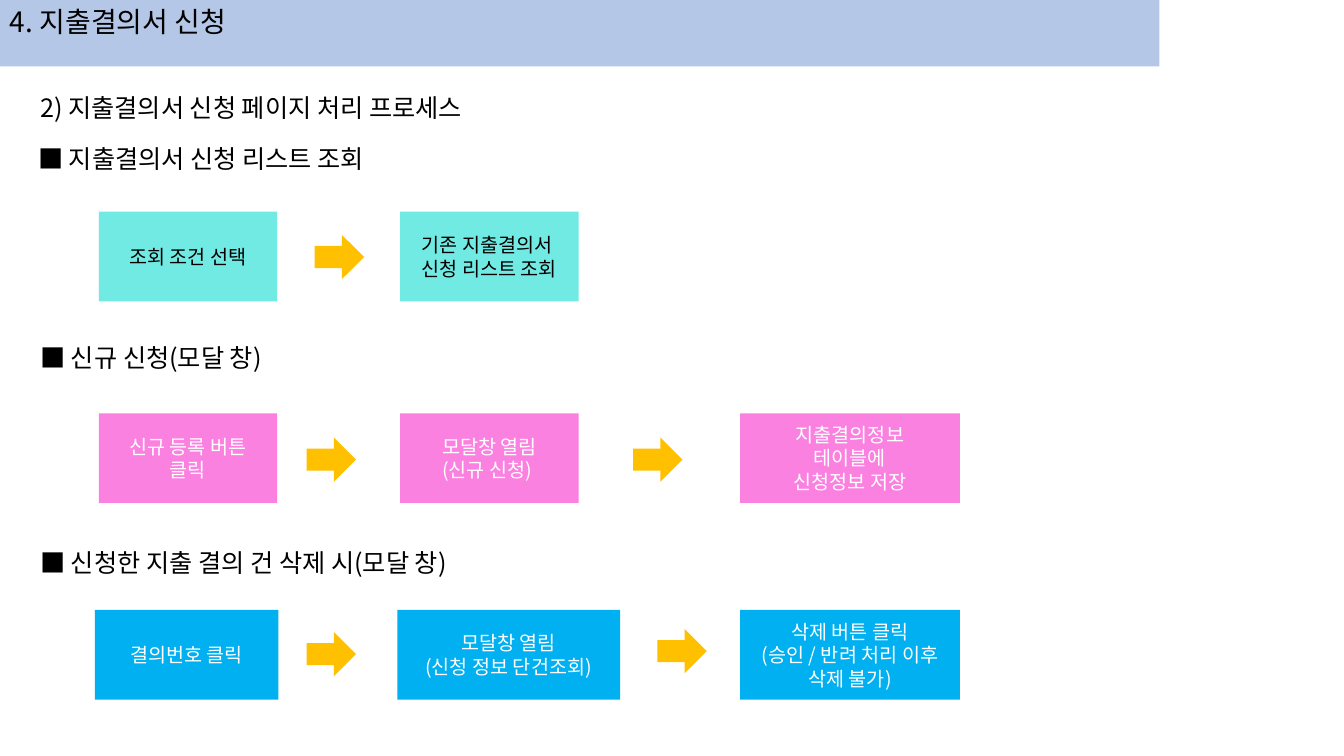
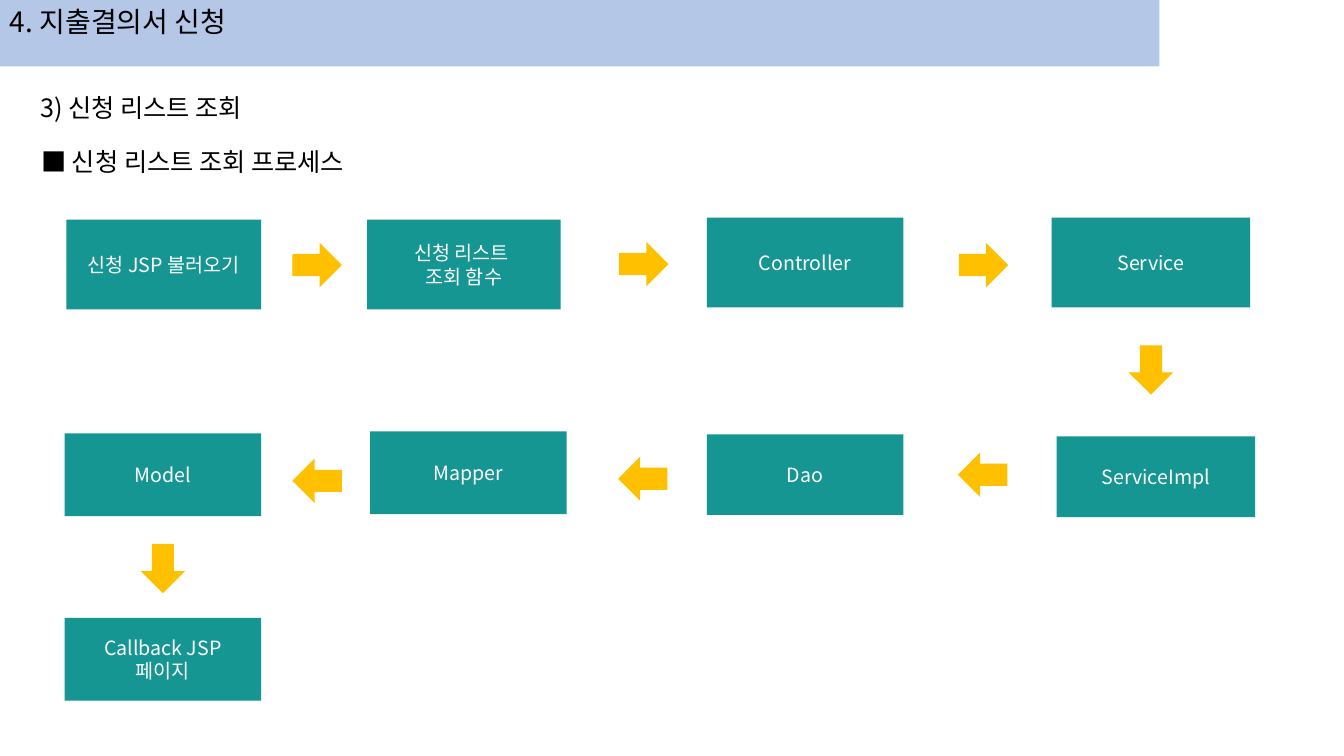
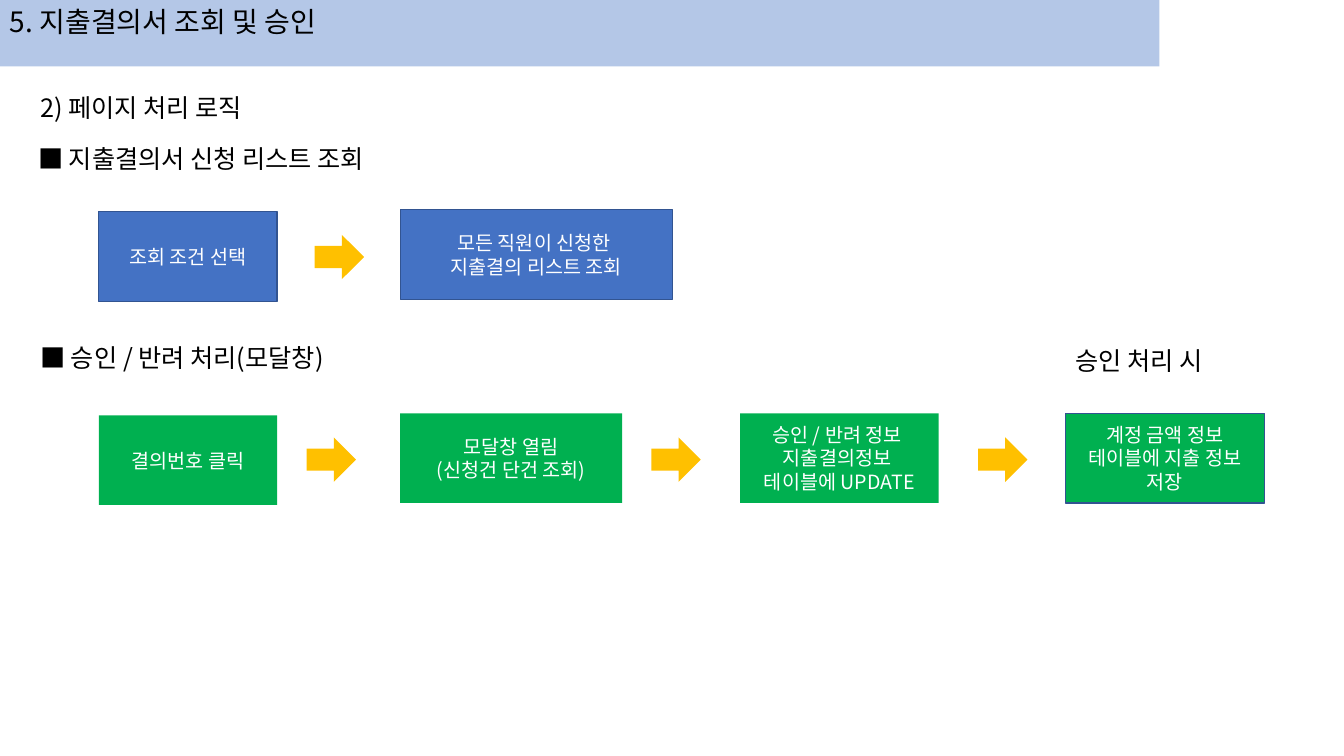
import dataclasses

import pptx
import pptx.dml.color
import pptx.enum.shapes
import pptx.enum.text
import pptx.util

EMU_PER_PX = 9144  # 100 px to the inch
FONT = "Noto Sans CJK KR"
COLORS = {
    "band": "B4C7E7",
    "arrow": "FFC000",
    "black": "000000",
    "white": "FFFFFF",
    "aqua": "72EAE4",
    "pink": "FB81E1",
    "sky": "00B0F0",
    "teal": "169693",
    "blue": "4472C4",
    "green": "00B050",
    "outline": "325491",
}
RECTANGLE = pptx.enum.shapes.MSO_SHAPE.RECTANGLE
RIGHT_ARROW = pptx.enum.shapes.MSO_SHAPE.RIGHT_ARROW
DOWN, BACK = 90, 180


@dataclasses.dataclass(frozen=True)
class Heading:
    left: int
    top: int
    text: str
    width: int = 670


@dataclasses.dataclass(frozen=True)
class Step:
    left: int
    top: int
    width: int
    text: str
    height: int = 89
    outlined: bool = False


@dataclasses.dataclass(frozen=True)
class Arrow:
    left: int
    top: int
    turn: int = 0


@dataclasses.dataclass(frozen=True)
class Flow:
    fill: str
    steps: list[Step]
    arrows: list[Arrow]
    ink: str = "white"


@dataclasses.dataclass(frozen=True)
class Content:
    title: str
    headings: list[Heading]
    flows: list[Flow]


# Slide content
CONTENTS = [
    Content(
        "4. 지출결의서 신청",
        [
            Heading(30, 87, "2) 지출결의서 신청 페이지 처리 프로세스"),
            Heading(28, 137, "■ 지출결의서 신청 리스트 조회"),
            Heading(30, 335, "■ 신규 신청(모달 창)"),
            Heading(30, 538, "■ 신청한 지출 결의 건 삭제 시(모달 창)"),
        ],
        [
            Flow("aqua", [
                Step(98, 210, 177, "조회 조건 선택"),
                Step(397, 210, 177, "기존 지출결의서 \n신청 리스트 조회"),
            ], [Arrow(312, 233)], ink="black"),
            Flow("pink", [
                Step(98, 410, 177, "신규 등록 버튼\n클릭"),
                Step(397, 410, 177, "모달창 열림\n(신규 신청) "),
                Step(734, 410, 218, "지출결의정보\n테이블에\n신청정보 저장"),
            ], [Arrow(304, 434), Arrow(628, 434)]),
            Flow("sky", [
                Step(94, 605, 182, "결의번호 클릭"),
                Step(394, 605, 221, "모달창 열림\n(신청 정보 단건조회)"),
                Step(734, 605, 218, "삭제 버튼 클릭\n(승인 / 반려 처리 이후\n삭제 불가)"),
            ], [Arrow(304, 627), Arrow(652, 624)]),
        ],
    ),
    Content(
        "4. 지출결의서 신청",
        [
            Heading(30, 87, "3) 신청 리스트 조회"),
            Heading(31, 140, "■ 신청 리스트 조회 프로세스"),
        ],
        [
            Flow("teal", [
                Step(66, 218, 193, "신청 JSP 불러오기"),
                Step(364, 218, 192, "신청 리스트 \n조회 함수"),
                Step(701, 216, 195, "Controller"),
                Step(1043, 216, 197, "Service"),
                Step(1048, 433, 197, "ServiceImpl", 80),
                Step(701, 431, 195, "Dao", 80),
                Step(367, 428, 195, "Mapper", 82),
                Step(64, 430, 195, "Model", 82),
                Step(64, 613, 195, "Callback JSP\n페이지", 82),
            ], [
                Arrow(290, 241),
                Arrow(614, 240),
                Arrow(951, 241),
                Arrow(1117, 345, DOWN),
                Arrow(950, 449, BACK),
                Arrow(613, 453, BACK),
                Arrow(290, 455, BACK),
                Arrow(137, 542, DOWN),
            ]),
        ],
    ),
    Content(
        "5. 지출결의서 조회 및 승인",
        [
            Heading(30, 87, "2) 페이지 처리 로직"),
            Heading(28, 137, "■ 지출결의서 신청 리스트 조회"),
            Heading(30, 335, "■ 승인 / 반려 처리(모달창)"),
            Heading(1057, 338, "승인 처리 시", 181),
        ],
        [
            Flow("blue", [
                Step(98, 210, 177, "조회 조건 선택", outlined=True),
                Step(397, 208, 270, "모든 직원이 신청한 \n지출결의 리스트 조회", outlined=True),
            ], [Arrow(312, 233)]),
            Flow("green", [
                Step(98, 412, 177, "결의번호 클릭"),
                Step(397, 410, 220, "모달창 열림\n(신청건 단건 조회)"),
                Step(734, 410, 197, "승인 / 반려 정보 \n지출결의정보 \n테이블에 UPDATE"),
                Step(1057, 410, 197, "계정 금액 정보\n테이블에 지출 정보\n저장", outlined=True),
            ], [Arrow(304, 434), Arrow(646, 434), Arrow(970, 434)]),
        ],
    ),
]


def px(length: int) -> pptx.util.Emu:
    return pptx.util.Emu(length * EMU_PER_PX)


def color(name: str) -> pptx.dml.color.RGBColor:
    return pptx.dml.color.RGBColor.from_string(COLORS[name])


def write(box, text: str, *, size: int, ink: str = "black", centered: bool = False) -> None:
    """Fill a shape with one paragraph, broken at each newline."""
    frame = box.text_frame
    frame.word_wrap = True
    anchors = pptx.enum.text.MSO_ANCHOR
    frame.vertical_anchor = anchors.MIDDLE if centered else anchors.TOP
    para = frame.paragraphs[0]
    aligns = pptx.enum.text.PP_ALIGN
    para.alignment = aligns.CENTER if centered else aligns.LEFT
    para.text = text.replace("\n", "\v")
    for span in para.runs:
        span.font.size = pptx.util.Pt(size)
        span.font.name = FONT
        span.font.color.rgb = color(ink)
        # The East Asian face follows the Latin one
        east_asian = span.font._element.makeelement(
            pptx.oxml.ns.qn("a:ea"), {"typeface": FONT})
        span.font._element.append(east_asian)


def add_shape(page, kind, left: int, top: int, width: int, height: int, fill: str,
              outlined: bool = False):
    box = page.shapes.add_shape(kind, px(left), px(top), px(width), px(height))
    box.shadow.inherit = False
    box.fill.solid()
    box.fill.fore_color.rgb = color(fill)
    if outlined:
        box.line.color.rgb = color("outline")
        box.line.width = pptx.util.Pt(1)
    else:
        box.line.fill.background()
    return box


def add_text(page, left: int, top: int, width: int, height: int, text: str, size: int) -> None:
    box = page.shapes.add_textbox(px(left), px(top), px(width), px(height))
    write(box, text, size=size)


def add_flow(page, flow: Flow) -> None:
    for step in flow.steps:
        box = add_shape(page, RECTANGLE, step.left, step.top, step.width, step.height,
                        flow.fill, step.outlined)
        write(box, step.text, size=14, ink=flow.ink, centered=True)
    for arrow in flow.arrows:
        box = add_shape(page, RIGHT_ARROW, arrow.left, arrow.top, 49, 44, "arrow")
        box.rotation = arrow.turn


def add_page(deck, content: Content) -> None:
    page = deck.slides.add_slide(deck.slide_layouts[6])
    # Title band
    add_shape(page, RECTANGLE, 0, 0, 1150, 66, "band")
    add_text(page, 0, 0, 493, 44, content.title, 20)
    # Headings and process flows
    for heading in content.headings:
        add_text(page, heading.left, heading.top, heading.width, 40, heading.text, 18)
    for flow in content.flows:
        add_flow(page, flow)


def main() -> None:
    deck = pptx.Presentation()
    deck.slide_width, deck.slide_height = px(1333), px(750)
    for content in CONTENTS:
        add_page(deck, content)
    deck.save("out.pptx")


if __name__ == "__main__":
    main()
